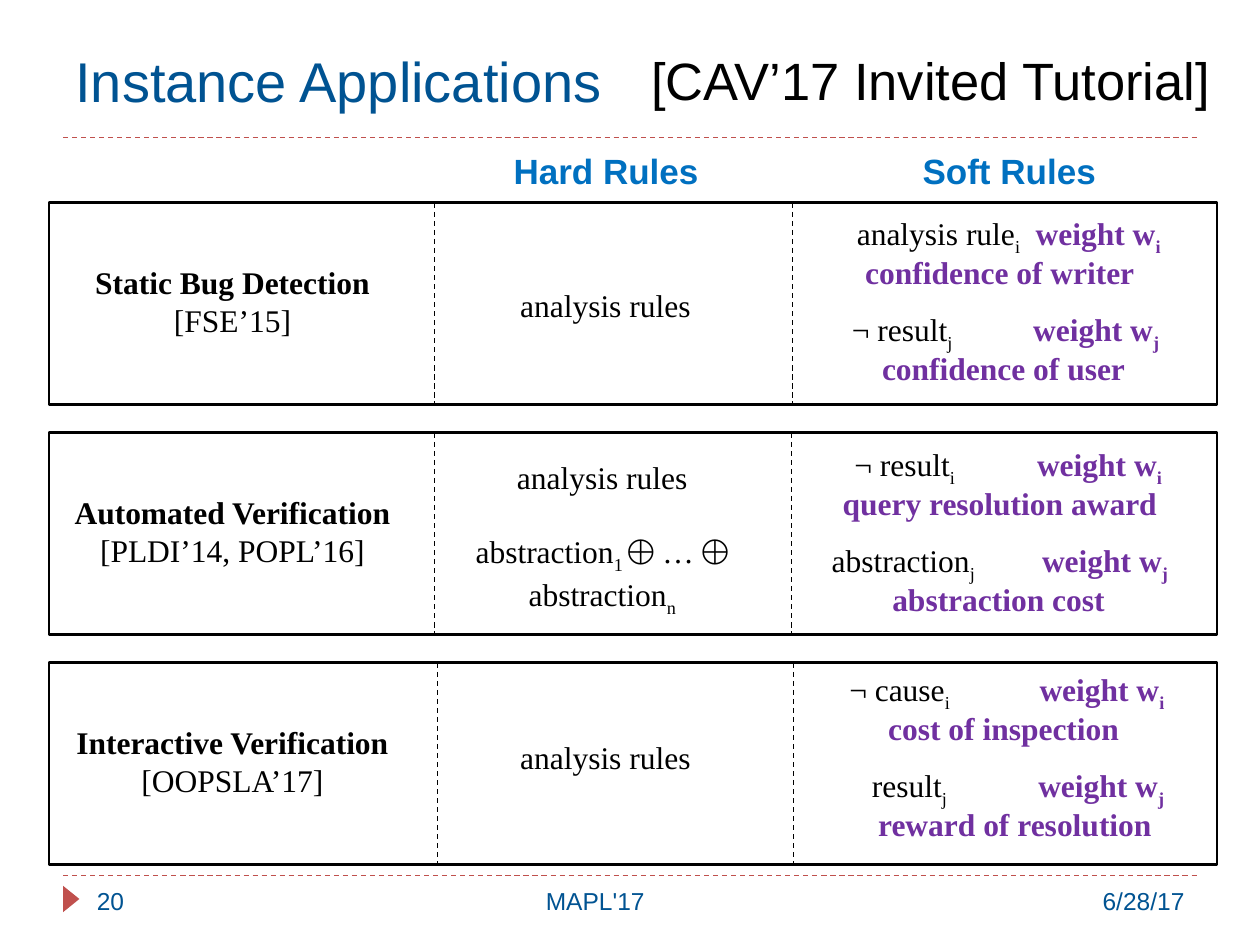
import pptx
import pptx.util
from pptx.dml.color import RGBColor
from pptx.enum.dml import MSO_LINE
from pptx.enum.shapes import MSO_CONNECTOR, MSO_SHAPE
from pptx.enum.text import MSO_ANCHOR, PP_ALIGN
from lxml import etree

BLACK = RGBColor(0, 0, 0)
WHITE = RGBColor(255, 255, 255)
NAVY = RGBColor(0x00, 0x53, 0x92)
BLUE = RGBColor(0x00, 0x70, 0xC0)
PURPLE = RGBColor(0x70, 0x30, 0xA0)
RED = RGBColor(0xC0, 0x50, 0x4D)
SANS, SERIF = "Arial", "Times New Roman"
LEFT, CENTER, RIGHT = PP_ALIGN.LEFT, PP_ALIGN.CENTER, PP_ALIGN.RIGHT

# Content: a soft rule is (term, index, term x, weight x, meaning, meaning left)
APPLICATIONS = [
    {"name": "Static Bug Detection", "venue": "[FSE’15]",
     "hard_box": (3.11, 0.61, 3.39, 0.4), "abstractions": False,
     "dividers": (3.45, 6.29), "soft_top": 0.04,
     "soft": [("analysis rule", "i", 6.8, 8.22, "confidence of writer", 6.24),
              ("¬ result", "j", 6.76, 8.2, "confidence of user", 6.27)]},
    {"name": "Automated Verification", "venue": "[PLDI’14, POPL’16]",
     "hard_box": (3.36, 0.15, 2.84, 1.31), "abstractions": True,
     "dividers": (3.45, 6.28), "soft_top": 0.05,
     "soft": [("¬ result", "i", 6.78, 8.23, "query resolution award", 6.24),
              ("abstraction", "j", 6.6, 8.27, "abstraction cost", 6.23)]},
    {"name": "Interactive Verification", "venue": "[OOPSLA’17]",
     "hard_box": (3.11, 0.55, 3.39, 0.4), "abstractions": False,
     "dividers": (3.47, 6.3), "soft_top": 0.01,
     "soft": [("¬ cause", "i", 6.74, 8.25, "cost of inspection", 6.27),
              ("result", "j", 6.92, 8.24, "reward of resolution", 6.36)]},
]
HEADINGS = [("Hard Rules", 3.57), ("Soft Rules", 6.77)]
FOOTER = [("20", 0.67, 0.89, LEFT), ("MAPL'17", 1.56, 6.33, CENTER),
          ("6/28/17", 7, 2.5, RIGHT)]

# Grid
ROW_LEFT, ROW_WIDTH, ROW_HEIGHT = 0.39, 9.27, 1.6
FIRST_ROW, LAST_ROW = 1.61, 5.26
ROW_PITCH = (LAST_ROW - FIRST_ROW) / (len(APPLICATIONS) - 1)
RULE_STEP, MEANING_STEP = 0.76, 0.31
SOFT_LEFT, COLUMN_WIDTH, LINE_HEIGHT = 6.29, 3.39, 0.4

inch = pptx.util.Inches
deck = pptx.Presentation()
deck.slide_width, deck.slide_height = inch(10), inch(7.5)
slide = deck.slides.add_slide(deck.slide_layouts[6])


def add_text(box, paragraphs, size=18, font=SERIF, color=BLACK, align=CENTER):
    """Each paragraph is a list of (text, options) runs."""
    frame = slide.shapes.add_textbox(*map(inch, box)).text_frame
    frame.word_wrap = True
    for number, runs in enumerate(paragraphs):
        paragraph = frame.add_paragraph() if number else frame.paragraphs[0]
        paragraph.alignment = align
        for text, options in runs:
            run = paragraph.add_run()
            run.text = text
            run.font.size, run.font.name = pptx.util.Pt(size), font
            run.font.bold = options.get("bold", False)
            run.font.color.rgb = options.get("color", color)
            if options.get("sub"):
                run.font._element.set("baseline", "-25000")
    return frame


def add_dashed_line(x1, y1, x2, y2, color):
    line = slide.shapes.add_connector(MSO_CONNECTOR.STRAIGHT, *map(inch, (x1, y1, x2, y2)))
    line.line.color.rgb = color
    line.line.width = pptx.util.Pt(0.75)
    line.line.dash_style = MSO_LINE.DASH
    etree.SubElement(line._element.spPr, pptx.oxml.ns.qn("a:effectLst"))


def add_shape(kind, box, fill):
    shape = slide.shapes.add_shape(kind, *map(inch, box))
    shape.shadow.inherit = False
    shape.fill.solid()
    shape.fill.fore_color.rgb = fill
    return shape


def add_soft_rule(top, term, index, term_x, weight_x, meaning, meaning_left):
    weight = {"bold": True, "color": PURPLE}
    frame = add_text((SOFT_LEFT, top, COLUMN_WIDTH, LINE_HEIGHT),
                     [[(term, {}), (index, {"sub": True}),
                       ("\tweight w", weight), (index, {**weight, "sub": True})]],
                     align=LEFT)
    # The inset places the term, the tab stop places the weight
    frame.margin_left = inch(term_x - SOFT_LEFT)
    properties = frame.paragraphs[0]._p.get_or_add_pPr()
    tabs = etree.SubElement(properties, pptx.oxml.ns.qn("a:tabLst"))
    etree.SubElement(tabs, pptx.oxml.ns.qn("a:tab"),
                     pos=str(inch(weight_x - term_x)), algn="l")
    add_text((meaning_left, top + MEANING_STEP, COLUMN_WIDTH, LINE_HEIGHT),
             [[(meaning, weight)]])


# Title and footer
for rule_y in (1.09, 6.95):
    add_dashed_line(0.5, rule_y, 9.5, rule_y, RED)
marker = add_shape(MSO_SHAPE.ISOSCELES_TRIANGLE, (0.46, 7.07, 0.21, 0.13), RED)
marker.rotation = 90
marker.line.fill.background()
title = add_text((0.5, 0.17, 9, 0.93), [[("Instance Applications", {})]], 32, SANS, NAVY, LEFT)
title.vertical_anchor = MSO_ANCHOR.MIDDLE
add_text((5.07, 0.33, 4.69, 0.61), [[("[CAV’17 Invited Tutorial]", {})]], 30, SANS, align=LEFT)
for text, left, width, align in FOOTER:
    add_text((left, 6.98, width, 0.4), [[(text, {})]], 14, SANS, NAVY, align)

# Column headings
for heading, left in HEADINGS:
    add_text((left, 1.14, 2.48, 0.44), [[(heading, {"bold": True})]], 20, SANS, BLUE)

# One framed row per application
for row, application in enumerate(APPLICATIONS):
    top = FIRST_ROW + row * ROW_PITCH
    frame_box = add_shape(MSO_SHAPE.RECTANGLE, (ROW_LEFT, top, ROW_WIDTH, ROW_HEIGHT), WHITE)
    frame_box.line.color.rgb = BLACK
    frame_box.line.width = pptx.util.Pt(1.5)
    for x in application["dividers"]:
        add_dashed_line(x, top, x, top + ROW_HEIGHT, BLACK)

    add_text((0.15, top + 0.43, COLUMN_WIDTH, 0.71),
             [[(application["name"], {"bold": True})], [(application["venue"], {})]])

    hard_rules = [[("analysis rules", {})]]
    if application["abstractions"]:
        hard_rules += [[("abstraction", {}), ("1 ", {"sub": True}), ("⨁ … ⨁", {})],
                       [("abstraction", {}), ("n", {"sub": True})]]
    left, offset, width, height = application["hard_box"]
    hard = add_text((left, top + offset, width, height), hard_rules)
    if application["abstractions"]:
        hard.paragraphs[1].space_before = pptx.util.Pt(21)

    for number, soft_rule in enumerate(application["soft"]):
        add_soft_rule(top + application["soft_top"] + number * RULE_STEP, *soft_rule)

deck.save("out.pptx")
